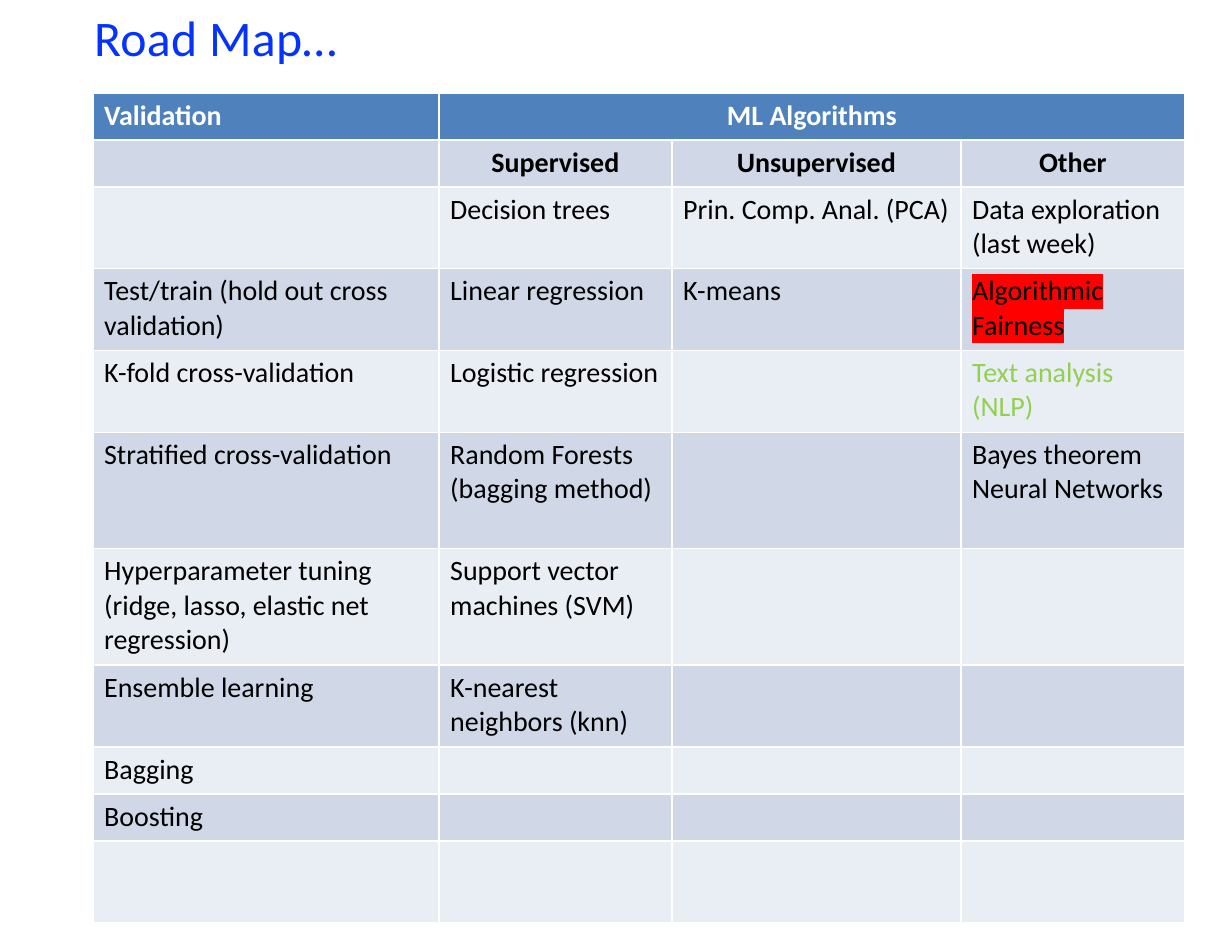
from lxml.etree import SubElement
from pptx import Presentation
from pptx.dml.color import RGBColor as RGB
from pptx.enum.text import PP_ALIGN as Align
from pptx.oxml.ns import qn
from pptx.util import Inches, Pt

TITLE = "Road Map…"
ROWS = [
    ["Validation", "ML Algorithms", "", ""],
    ["", "Supervised", "Unsupervised", "Other"],
    ["", "Decision trees", "Prin. Comp. Anal. (PCA)", "Data exploration (last week)"],
    ["Test/train (hold out cross validation)", "Linear regression", "K-means",
     "Algorithmic Fairness"],
    ["K-fold cross-validation", "Logistic regression", "", "Text analysis (NLP)"],
    ["Stratified cross-validation", "Random Forests (bagging method)", "",
     "Bayes theorem\nNeural Networks"],
    ["Hyperparameter tuning (ridge, lasso, elastic net regression)",
     "Support vector machines (SVM)", "", ""],
    ["Ensemble learning", "K-nearest neighbors (knn)", "", ""],
    ["Bagging", "", "", ""],
    ["Boosting", "", "", ""],
    ["", "", "", ""],
]
WIDTHS = [3.09, 2.08, 2.58, 2]
HEIGHTS = [0.42, 0.42, 0.73, 0.73, 0.73, 1.04, 1.04, 0.73, 0.42, 0.42, 0.73]
MARKS = {
    "Algorithmic Fairness": {"mark": "FF0000"},
    "Text analysis (NLP)": {"color": "92D050"},
}
HEAD, BANDS = "4F81BD", ("E9EDF4", "D0D8E8")
LEFT = 0.83


def tint(fill, color):
    fill.solid()
    fill.fore_color.rgb = RGB.from_string(color)


def write(frame, text, size=18, color="000000", bold=False, align=Align.LEFT,
          mark=None, space=None):
    for i, line in enumerate(text.split("\n")):
        para = frame.add_paragraph() if i else frame.paragraphs[0]
        para.alignment = align
        run = para.add_run()
        run.text = line
        font = run.font
        font.name, font.size, font.bold = "Calibri", Pt(size), bold
        tint(font.fill, color)
        props = run._r.get_or_add_rPr()
        if space:
            props.set("spc", str(space))
        if mark:
            light = SubElement(props, qn("a:highlight"))
            SubElement(light, qn("a:srgbClr")).set("val", mark)
            props.find(qn("a:solidFill")).addnext(light)


def add_title(slide):
    box = slide.shapes.add_textbox(Inches(LEFT), Inches(0.04), Inches(6.62), Inches(0.57))
    frame = box.text_frame
    frame.word_wrap = True
    frame.margin_left = frame.margin_right = frame.margin_bottom = 0
    frame.margin_top = Inches(0.02)
    write(frame, TITLE, size=32, color="0432FF", space=20)
    para = frame.paragraphs[0]
    para.space_before = Pt(1.4)
    para._p.get_or_add_pPr().set("marL", str(Inches(0.01)))


def add_grid(slide):
    grid = slide.shapes.add_table(
        len(ROWS), len(WIDTHS), Inches(LEFT), Inches(LEFT),
        Inches(sum(WIDTHS)), Inches(sum(HEIGHTS))).table
    for col, width in zip(grid.columns, WIDTHS):
        col.width = Inches(width)
    for row, height in zip(grid.rows, HEIGHTS):
        row.height = Inches(height)
    grid.cell(0, 1).merge(grid.cell(0, 3))
    for r, row in enumerate(ROWS):
        for c, text in enumerate(row):
            cell = grid.cell(r, c)
            tint(cell.fill, BANDS[r % 2] if r else HEAD)
            if text:
                form = {
                    "color": "000000" if r else "FFFFFF",
                    "bold": r < 2,
                    "align": Align.CENTER if r < 2 and c else Align.LEFT,
                }
                write(cell.text_frame, text, **(form | MARKS.get(text, {})))


def main():
    deck = Presentation()
    deck.slide_width, deck.slide_height = Inches(11), Inches(8.5)
    slide = deck.slides.add_slide(deck.slide_layouts[6])
    add_title(slide)
    add_grid(slide)
    deck.save("out.pptx")


if __name__ == "__main__":
    main()
